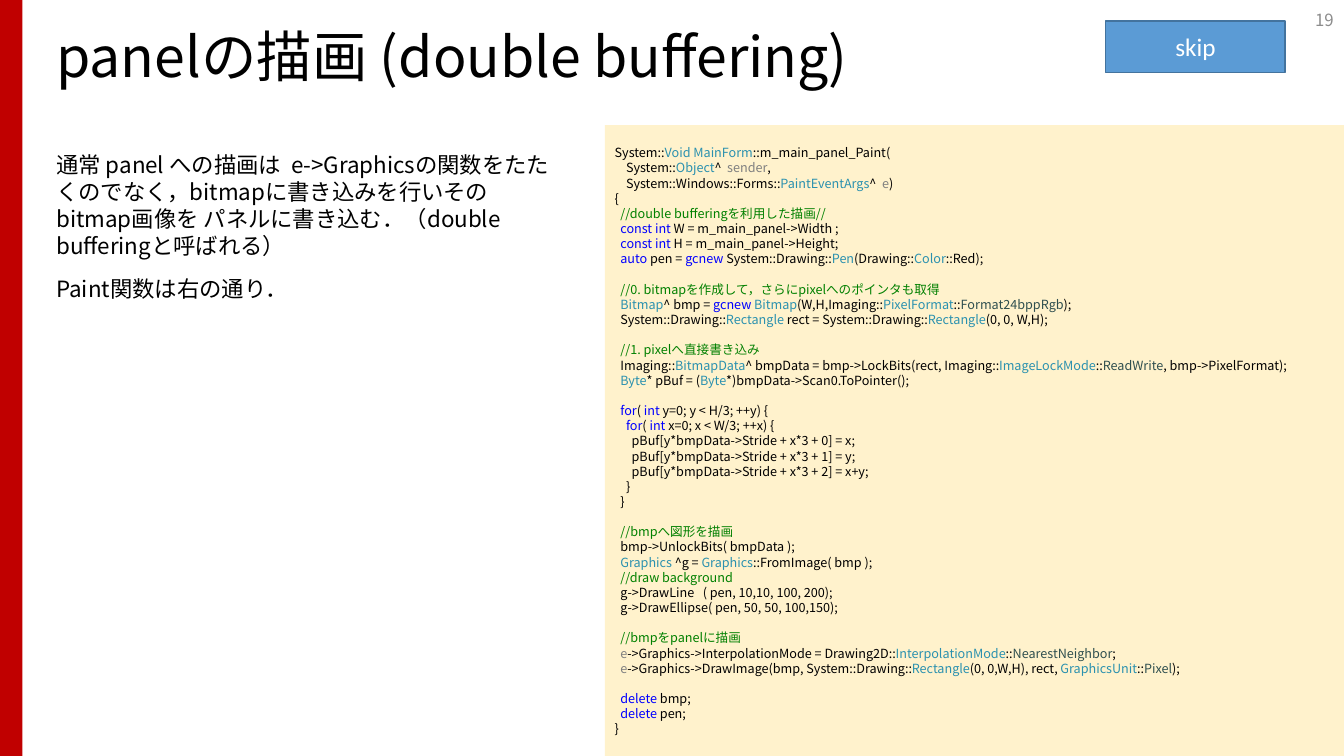
from lxml import etree
from pptx import Presentation
from pptx.dml.color import RGBColor
from pptx.enum import shapes, text
from pptx.oxml.ns import qn
from pptx.util import Pt

TITLE = "panelの描画 (double buffering)"
EXPLANATION = [
    "通常 panel への描画は  e->Graphicsの関数をたたくのでなく，bitmapに書き込みを行いそのbitmap画像を パネルに書き込む．（double bufferingと呼ばれる）",
    "Paint関数は右の通り．",
]
PAGE_NUMBER = "19"
SKIP_LABEL = "skip"

# Backticks enclose coloured code; the first letter inside picks the colour:
# t type, k keyword, c comment, p parameter, m enum member.
# Each inner list is one block of code, set apart by a gap.
LISTING = [
    [
        "System::`tVoid MainForm`::m_main_panel_Paint(",
        "    System::`tObject`^  `psender`,",
        "    System::Windows::Forms::`tPaintEventArgs`^  `pe`)",
        "{",
        "  `c//double bufferingを利用した描画//`",
        "  `kconst int` W = m_main_panel->Width ;",
        "  `kconst int` H = m_main_panel->Height;",
        "  `kauto` pen = `kgcnew` System::Drawing::`tPen`(Drawing::`tColor`::Red);",
    ],
    [
        "  `c//0. bitmapを作成して，さらにpixelへのポインタも取得`",
        "  `tBitmap`^ bmp = `kgcnew` `tBitmap`(W,H,Imaging::`tPixelFormat`::`mFormat24bppRgb`);",
        "  System::Drawing::`tRectangle` rect = System::Drawing::`tRectangle`(0, 0, W,H);",
    ],
    [
        "  `c//1. pixelへ直接書き込み`",
        "  Imaging::`tBitmapData`^ bmpData = bmp->LockBits(rect, "
        "Imaging::`tImageLockMode`::`mReadWrite`, bmp->PixelFormat);",
        "  `tByte`* pBuf = (`tByte`*)bmpData->Scan0.ToPointer();",
    ],
    [
        "  `kfor`( `kint` y=0; y < H/3; ++y) {",
        "    `kfor`( `kint` x=0; x < W/3; ++x) {",
        "      pBuf[y*bmpData->Stride + x*3 + 0] = x;",
        "      pBuf[y*bmpData->Stride + x*3 + 1] = y;",
        "      pBuf[y*bmpData->Stride + x*3 + 2] = x+y;",
        "    }",
        "  }",
    ],
    [
        "  `c//bmpへ図形を描画`",
        "  bmp->UnlockBits( bmpData );",
        "  `tGraphics` ^g = `tGraphics`::FromImage( bmp );",
        "  `c//draw background`",
        "  g->DrawLine   ( pen, 10,10, 100, 200);",
        "  g->DrawEllipse( pen, 50, 50, 100,150);",
    ],
    [
        "  `c//bmpをpanelに描画`",
        "  `pe`->Graphics->InterpolationMode = Drawing2D::`tInterpolationMode`::`mNearestNeighbor`;",
        "  `pe`->Graphics->DrawImage(bmp, System::Drawing::`tRectangle`(0, 0,W,H), rect, "
        "`tGraphicsUnit`::`mPixel`);",
    ],
    [
        "  `kdelete` bmp;",
        "  `kdelete` pen;",
        "}",
    ],
]

BLACK = RGBColor(0x00, 0x00, 0x00)
WHITE = RGBColor(0xFF, 0xFF, 0xFF)
GRAY = RGBColor(0x8C, 0x8C, 0x8C)
RED = RGBColor(0xC0, 0x00, 0x00)
CREAM = RGBColor(0xFF, 0xF2, 0xCC)
BLUE = RGBColor(0x5B, 0x9B, 0xD5)
DARK_BLUE = RGBColor(0x43, 0x73, 0x9E)
CODE_COLORS = {
    "t": RGBColor(0x2B, 0x91, 0xAF),
    "k": RGBColor(0x00, 0x00, 0xFF),
    "c": RGBColor(0x00, 0x80, 0x00),
    "p": RGBColor(0x80, 0x80, 0x80),
    "m": RGBColor(0x2F, 0x4F, 0x4F),
}
FONT = "Noto Sans CJK JP"
CODE_PITCH = 10.83
CODE_SPACE = 2.02
LEFT, RIGHT, CENTER = text.PP_ALIGN.LEFT, text.PP_ALIGN.RIGHT, text.PP_ALIGN.CENTER


def place(part, left, top, width, height):
    part.left, part.top, part.width, part.height = map(Pt, (left, top, width, height))


def style(paragraph, size, color, align=LEFT, name=FONT):
    paragraph.alignment = align
    font = paragraph.font
    font.size = Pt(size)
    font.color.rgb = color
    font.name = name
    defaults = paragraph._p.pPr.find(qn("a:defRPr"))
    etree.SubElement(defaults, qn("a:ea")).set("typeface", FONT)


def set_indent(paragraph, margin):
    """Indent the whole paragraph and turn off its bullet."""
    props = paragraph._p.get_or_add_pPr()
    props.set("marL", str(int(Pt(margin))))
    props.set("indent", "0")
    props.find(qn("a:defRPr")).addprevious(etree.Element(qn("a:buNone")))


def add_box(slide, bounds, fill):
    box = slide.shapes.add_shape(shapes.MSO_SHAPE.RECTANGLE, *map(Pt, bounds))
    box.shadow.inherit = False
    box.fill.solid()
    box.fill.fore_color.rgb = fill
    box.line.fill.background()
    return box


def add_code_line(paragraph, line, gap):
    code = line.lstrip(" ")
    style(paragraph, 9, BLACK)
    paragraph.line_spacing = Pt(CODE_PITCH)
    paragraph.space_before = Pt(gap)
    set_indent(paragraph, (len(line) - len(code)) * CODE_SPACE)
    for position, piece in enumerate(code.split("`")):
        if not piece:
            continue
        run = paragraph.add_run()
        if position % 2:
            run.text = piece[1:]
            run.font.color.rgb = CODE_COLORS[piece[0]]
        else:
            run.text = piece


def add_code(frame):
    for block_order, block in enumerate(LISTING):
        for order, line in enumerate(block):
            starts_listing = block_order == order == 0
            paragraph = frame.paragraphs[0] if starts_listing else frame.add_paragraph()
            add_code_line(paragraph, line, CODE_PITCH if block_order and not order else 0)


def main():
    deck = Presentation()
    deck.slide_width, deck.slide_height = Pt(960), Pt(540)
    slide = deck.slides.add_slide(deck.slide_layouts[1])
    add_box(slide, (0, 0, 16, 540), RED)

    title, body = slide.placeholders
    place(title, 33, 17.3, 626.4, 51.1)
    title.text_frame.text = TITLE
    title.text_frame.auto_size = text.MSO_AUTO_SIZE.NONE
    title.text_frame.vertical_anchor = text.MSO_ANCHOR.MIDDLE
    style(title.text_frame.paragraphs[0], 39.6, BLACK)
    title.text_frame.paragraphs[0].line_spacing = 0.9

    place(body, 33, 104.4, 373.7, 415.4)
    body.text_frame.text = "\n".join(EXPLANATION)
    body.text_frame.auto_size = text.MSO_AUTO_SIZE.NONE
    for order, paragraph in enumerate(body.text_frame.paragraphs):
        style(paragraph, 16, BLACK)
        set_indent(paragraph, 0)
        paragraph.line_spacing = Pt(19.2)
        paragraph.space_before = Pt(12 if order else 0)

    number = slide.shapes.add_textbox(Pt(743.8), Pt(0), Pt(216), Pt(28.8)).text_frame
    number.word_wrap = True
    number.vertical_anchor = text.MSO_ANCHOR.MIDDLE
    number.text = PAGE_NUMBER
    style(number.paragraphs[0], 12, GRAY, RIGHT)

    code = add_box(slide, (432, 89.3, 528, 454.3), CREAM).text_frame
    code.word_wrap = True
    code.vertical_anchor = text.MSO_ANCHOR.TOP
    code.margin_top = Pt(3.6 + CODE_PITCH)
    add_code(code)

    skip = add_box(slide, (789.8, 15.1, 128.2, 36.7), BLUE)
    skip.line.color.rgb = DARK_BLUE
    skip.line.width = Pt(1)
    skip.text_frame.vertical_anchor = text.MSO_ANCHOR.MIDDLE
    skip.text_frame.text = SKIP_LABEL
    style(skip.text_frame.paragraphs[0], 18, WHITE, CENTER, "Calibri")

    deck.save("out.pptx")


if __name__ == "__main__":
    main()
